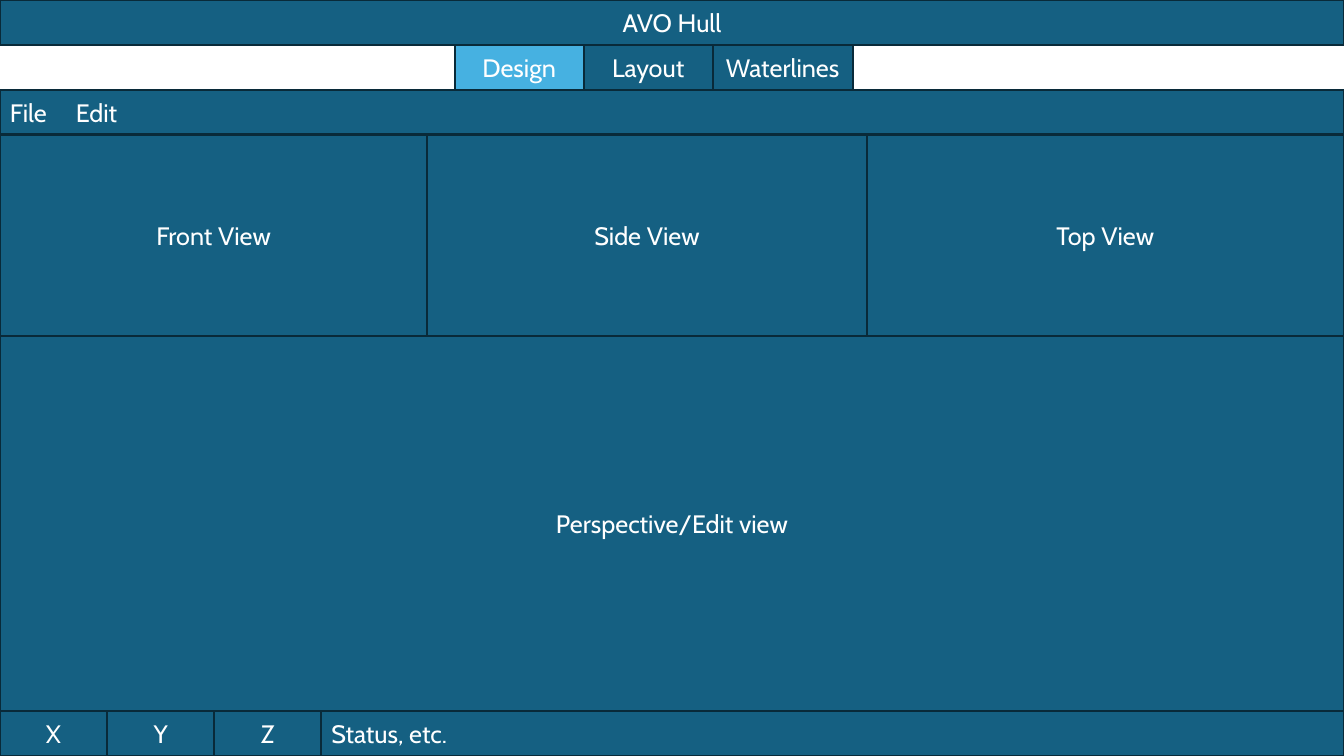
"""Build a wireframe slide of a hull design application window."""
import pptx
import pptx.dml.color
import pptx.enum.shapes
import pptx.enum.text
import pptx.util
import lxml.etree
from pptx.util import Cm

ALIGN = pptx.enum.text.PP_ALIGN
WIDTH, HEIGHT, BAR = 33.87, 19.05, 1.13
BLUE, ACTIVE, OUTLINE, WHITE = "156082", "46B1E1", "092A39", "FFFFFF"

deck = pptx.Presentation()
deck.slide_width, deck.slide_height = Cm(WIDTH), Cm(HEIGHT)
slide = deck.slides.add_slide(deck.slide_layouts[6])


def color(value):
    return pptx.dml.color.RGBColor.from_string(value)


def panel(text, left=0, top=0, width=WIDTH, height=BAR, fill=BLUE, align=ALIGN.CENTER):
    box = slide.shapes.add_shape(
        pptx.enum.shapes.MSO_SHAPE.RECTANGLE, Cm(left), Cm(top), Cm(width), Cm(height))
    box.shadow.inherit = False
    box.fill.solid()
    box.fill.fore_color.rgb = color(fill)
    box.line.color.rgb = color(OUTLINE)
    box.line.width = pptx.util.Pt(1.5)
    box.text_frame.vertical_anchor = pptx.enum.text.MSO_ANCHOR.MIDDLE
    paragraph = box.text_frame.paragraphs[0]
    paragraph.alignment = align
    label = paragraph.add_run()
    label.text = text
    label.font.name = "Cabin"
    label.font.size = pptx.util.Pt(18)
    label.font.color.rgb = color(WHITE)
    return paragraph


tabs_top, menu_top, views_top = BAR, 2 * BAR, 3 * BAR
views_height = 5.08
perspective_top = views_top + views_height
status_top = HEIGHT - BAR

panel("AVO Hull")

tab_left = 11.46
for name, width, fill in [("Design", 3.25, ACTIVE), ("Layout", 3.25, BLUE), ("Waterlines", 3.53, BLUE)]:
    panel(name, tab_left, tabs_top, width, fill=fill)
    tab_left += width

menu = panel("File\tEdit", top=menu_top, align=ALIGN.LEFT)
tab_stops = lxml.etree.SubElement(menu._p.get_or_add_pPr(), pptx.oxml.ns.qn("a:tabLst"))
lxml.etree.SubElement(tab_stops, pptx.oxml.ns.qn("a:tab"), pos=str(Cm(1.66)), algn="l")

view_left = 0
for name, width in [("Front View", 10.77), ("Side View", 11.07), ("Top View", 12.03)]:
    panel(name, view_left, views_top, width, views_height)
    view_left += width

panel("Perspective/Edit view", top=perspective_top, height=status_top - perspective_top)

axis_width = 2.7
for index, axis in enumerate("XYZ"):
    panel(axis, index * axis_width, status_top, axis_width)
status_left = 3 * axis_width
panel("Status, etc.", status_left, status_top, WIDTH - status_left, align=ALIGN.LEFT)

deck.save("out.pptx")
